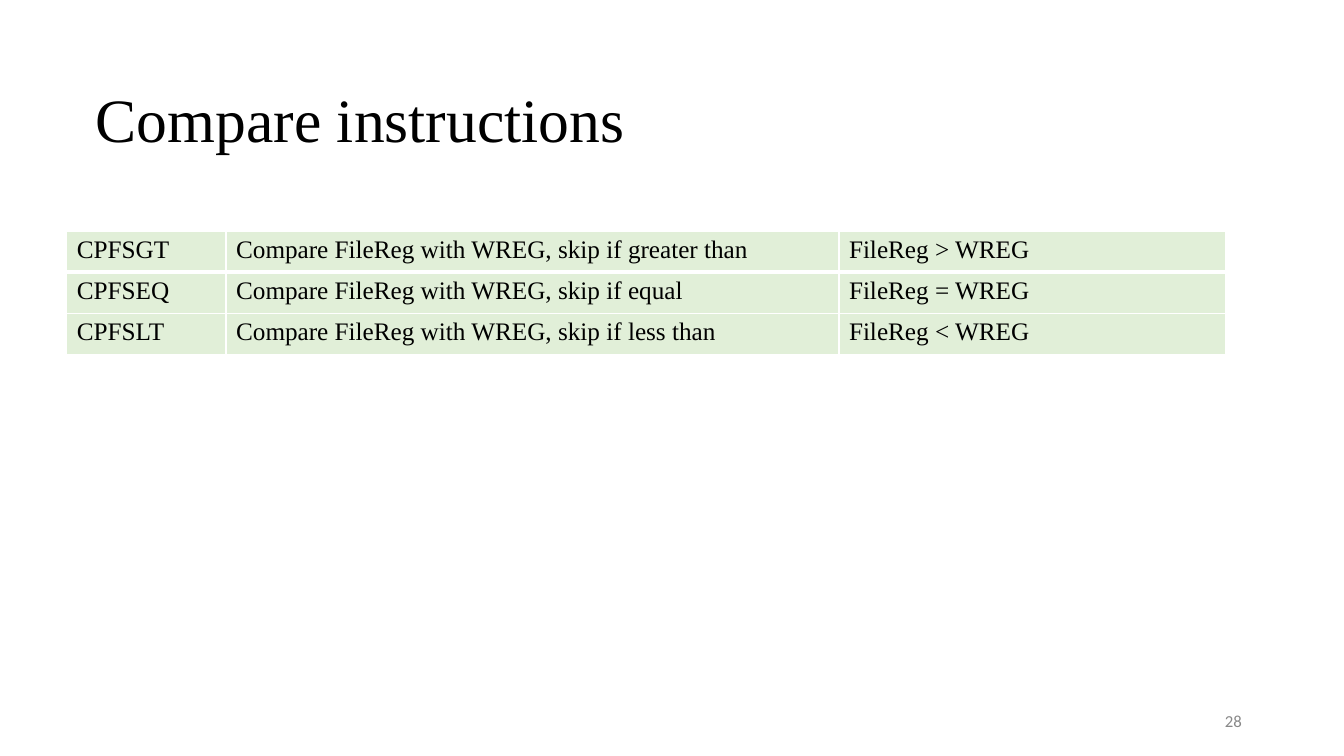
import pptx
import pptx.dml.color
import pptx.enum.text
import pptx.oxml
import pptx.oxml.ns
import pptx.util

BLACK = pptx.dml.color.RGBColor(0x00, 0x00, 0x00)
WHITE = pptx.dml.color.RGBColor(0xFF, 0xFF, 0xFF)
GREY = pptx.dml.color.RGBColor(0x88, 0x88, 0x88)
PALE_GREEN = pptx.dml.color.RGBColor(0xE1, 0xEF, 0xD8)

ALIGN = pptx.enum.text.PP_ALIGN
SERIF = "Times New Roman"
STYLES = {
    "title": {"name": SERIF, "size": pptx.util.Pt(44), "color": BLACK},
    "cell": {"name": SERIF, "size": pptx.util.Pt(18), "color": BLACK},
    "number": {"name": "Calibri", "size": pptx.util.Pt(12), "color": GREY},
}

INSTRUCTIONS = [
    ("CPFSGT", "Compare FileReg with WREG, skip if greater than", "FileReg > WREG"),
    ("CPFSEQ", "Compare FileReg with WREG, skip if equal", "FileReg = WREG"),
    ("CPFSLT", "Compare FileReg with WREG, skip if less than", "FileReg < WREG"),
]


class Deck:
    def __init__(self, width, height):
        self.prs = pptx.Presentation()
        self.prs.slide_width = pptx.util.Inches(width)
        self.prs.slide_height = pptx.util.Inches(height)
        self.s = self.prs.slides.add_slide(self.prs.slide_layouts[6])

    def x(self, percent):
        return round(self.prs.slide_width * percent / 100)

    def y(self, percent):
        return round(self.prs.slide_height * percent / 100)

    def add_run(self, p, text, style):
        r = p.add_run()
        r.text = text
        for key, value in STYLES[style].items():
            if key == "color":
                r.font.color.rgb = value
            else:
                setattr(r.font, key, value)

    def text(self, left, top, width, height, text, style, **formats):
        sp = self.s.shapes.add_textbox(
            self.x(left), self.y(top), self.x(width), self.y(height))
        tf = sp.text_frame
        tf.word_wrap = True
        tf.vertical_anchor = pptx.enum.text.MSO_ANCHOR.MIDDLE
        p = tf.paragraphs[0]
        for key, value in formats.items():
            setattr(p, key, value)
        self.add_run(p, text, style)

    def border(self, cell, widths):
        tc_pr = cell._tc.get_or_add_tcPr()
        for i, (side, points) in enumerate(widths.items()):
            tc_pr.insert(i, pptx.oxml.parse_xml(
                f'<a:ln{side} {pptx.oxml.ns.nsdecls("a")} w="{pptx.util.Pt(points)}">'
                f'<a:solidFill><a:srgbClr val="{WHITE}"/></a:solidFill></a:ln{side}>'))

    def table(self, left, top, columns, row_height, rows):
        frame = self.s.shapes.add_table(
            len(rows), len(columns), self.x(left), self.y(top),
            self.x(sum(columns)), self.y(row_height * len(rows)))
        tbl = frame.table
        for column, width in zip(tbl.columns, columns):
            column.width = self.x(width)
        for i, values in enumerate(rows):
            tbl.rows[i].height = self.y(row_height)
            widths = {"L": 1, "R": 1, "T": 3 if i == 1 else 1, "B": 3 if i == 0 else 1}
            for j, value in enumerate(values):
                cell = tbl.cell(i, j)
                cell.fill.solid()
                cell.fill.fore_color.rgb = PALE_GREEN
                self.border(cell, widths)
                p = cell.text_frame.paragraphs[0]
                self.add_run(p, value, "cell")


def main():
    deck = Deck(13.33, 7.5)
    deck.text(6.4, 6.5, 86.25, 19.33, "Compare instructions", "title", line_spacing=0.9)
    deck.table(4.97, 30.6, (11.85, 45.6, 28.75), 5.42, INSTRUCTIONS)
    deck.text(70.65, 92.67, 22.5, 5.33, "28", "number", alignment=ALIGN.RIGHT)
    deck.prs.save("out.pptx")


if __name__ == "__main__":
    main()
